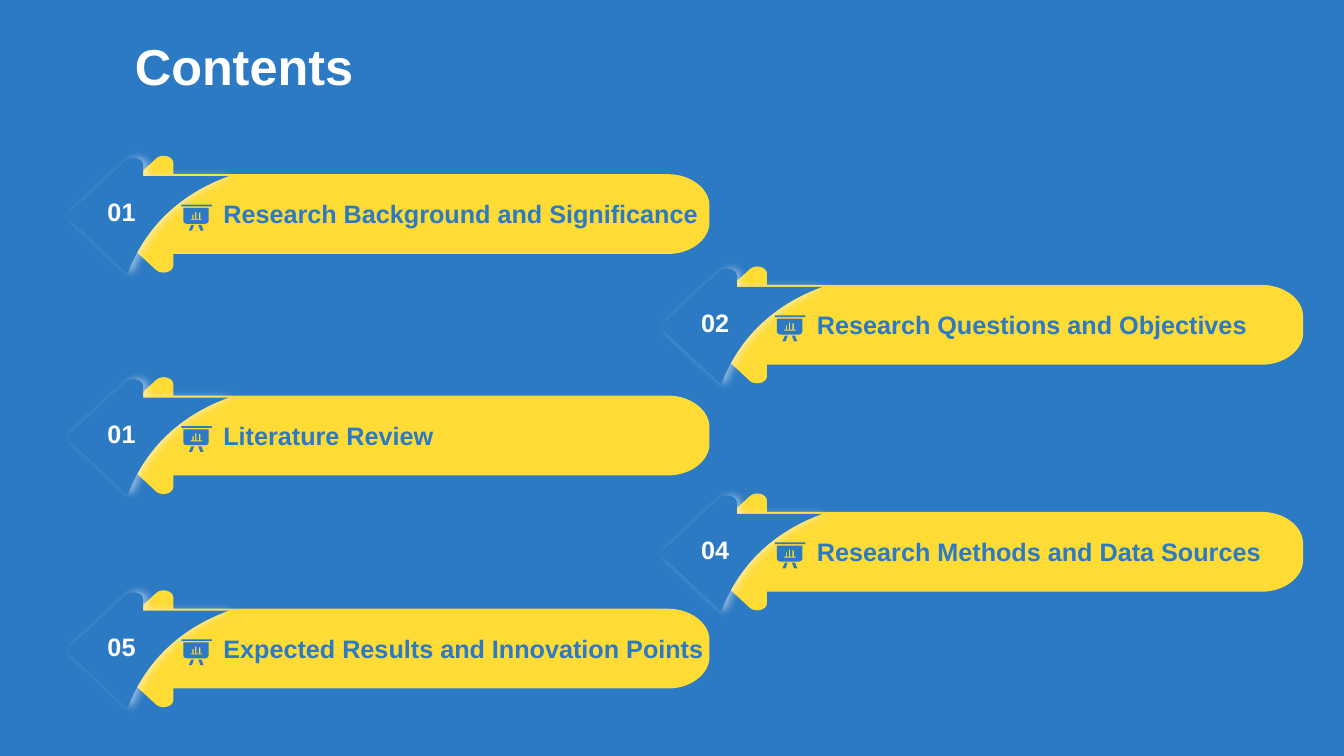
import pptx
import pptx.util
import pptx.dml.color
import pptx.enum.text
from pptx.oxml.ns import qn
from lxml import etree

Cm, Pt = pptx.util.Cm, pptx.util.Pt
RGBColor = pptx.dml.color.RGBColor
MSO_ANCHOR = pptx.enum.text.MSO_ANCHOR

# Content: number, heading, top in cm
TITLE = "Contents"
ITEMS = [
    ("01", "Research Background and Significance", 3.86),
    ("02", "Research Questions and Objectives", 6.65),
    ("01", "Literature Review", 9.44),
    ("04", "Research Methods and Data Sources", 12.37),
    ("05", "Expected Results and Innovation Points", 14.81),
]
COLUMNS = (1.7, 16.66)

# Colours
BLUE = RGBColor(0x2C, 0x7A, 0xC4)
YELLOW = RGBColor(0xFE, 0xDB, 0x35)
WHITE = RGBColor(0xFF, 0xFF, 0xFF)

# Outlines in cm: two numbers are a straight step, six a Bezier curve
RIBBON = [[
    (15.14, 0.53), (2.67, 0.53), (2.67, 0.25),
    (2.67, 0.08, 2.39, 0, 2.24, 0.13), (0.84, 1.42),
    (0.76, 1.5, 0.76, 1.6, 0.84, 1.65), (2.24, 2.95),
    (2.39, 3.07, 2.67, 3, 2.67, 2.82), (2.67, 2.54), (15.14, 2.54),
    (15.7, 2.54, 16.18, 2.18, 16.18, 1.75), (16.18, 1.32),
    (16.18, 0.89, 15.7, 0.53, 15.14, 0.53),
]]
TAB = [[
    (4.06, 0.58), (1.91, 0.58), (1.91, 0.3),
    (1.91, 0.13, 1.63, 0.05, 1.47, 0.18), (0.08, 1.47),
    (0, 1.55, 0, 1.65, 0.08, 1.7), (1.47, 3), (1.52, 3.02),
    (1.85, 2.16, 2.54, 1.14, 4.06, 0.58),
]]
BOARD_ICON = [
    # Legs
    [(0.43, 0.51), (0.51, 0.51), (0.56, 0.65), (0.48, 0.65)],
    [(0.25, 0.51), (0.32, 0.51), (0.27, 0.65), (0.19, 0.65)],
    # Bar chart cut out of the board
    [(0.38, 0.18), (0.35, 0.18), (0.35, 0.36), (0.31, 0.36), (0.31, 0.25),
     (0.28, 0.25), (0.28, 0.36), (0.23, 0.36), (0.23, 0.38), (0.53, 0.38),
     (0.53, 0.36), (0.48, 0.36), (0.48, 0.2), (0.44, 0.2), (0.44, 0.36),
     (0.38, 0.36)],
    # Board and top rail
    [(0.05, 0.08), (0.69, 0.08), (0.69, 0.41),
     (0.69, 0.44, 0.66, 0.48, 0.61, 0.48), (0.13, 0.48),
     (0.08, 0.48, 0.05, 0.44, 0.05, 0.41)],
    [(0, 0), (0.77, 0), (0.77, 0.04), (0, 0.04)],
]


def end_point(step):
    return Cm(step[-2]), Cm(step[-1])


def bend_curves(sp, outlines):
    """Turn the straight segment of each six-number step into a curve."""
    ends = [end_point(step) for outline in outlines for step in outline]
    left, top = min(x for x, y in ends), min(y for x, y in ends)
    steps = [step for outline in outlines for step in outline[1:]]
    segments = list(sp.element.iter(qn("a:lnTo")))
    for segment, step in zip(segments, steps):
        if len(step) == 6:
            curve = etree.Element(qn("a:cubicBezTo"))
            for x, y in zip(step[::2], step[1::2]):
                etree.SubElement(curve, qn("a:pt"), x=str(Cm(x) - left), y=str(Cm(y) - top))
            segment.getparent().replace(segment, curve)


def add_outline(shapes, outlines, left, top, color):
    builder = shapes.build_freeform(*end_point(outlines[0][0]))
    for i, outline in enumerate(outlines):
        if i:
            builder.move_to(*end_point(outline[0]))
        builder.add_line_segments([end_point(step) for step in outline[1:]], close=True)
    sp = builder.convert_to_shape(Cm(left), Cm(top))
    bend_curves(sp, outlines)
    sp.shadow.inherit = False
    sp.fill.solid()
    sp.fill.fore_color.rgb = color
    sp.line.fill.background()
    return sp


def add_glow_shadow(sp):
    effects = sp.element.spPr.find(qn("a:effectLst"))
    shadow = etree.SubElement(effects, qn("a:outerShdw"), blurRad=str(Pt(6)),
                              dist=str(Pt(3)), dir="0", algn="ctr", rotWithShape="0")
    color = etree.SubElement(shadow, qn("a:srgbClr"), val=str(WHITE))
    etree.SubElement(color, qn("a:alpha"), val="50000")


def add_text(shapes, text, left, top, width, height, size, color, inset=0.25,
             anchor=MSO_ANCHOR.TOP):
    tf = shapes.add_textbox(Cm(left), Cm(top), Cm(width), Cm(height)).text_frame
    tf.word_wrap = True
    tf.vertical_anchor = anchor
    tf.margin_left = tf.margin_right = Cm(0.25)
    tf.margin_top = tf.margin_bottom = Cm(inset)
    r = tf.paragraphs[0].add_run()
    r.text = text
    r.font.name = "Arial"
    r.font.size = Pt(size)
    r.font.bold = True
    r.font.color.rgb = color


def add_item(s, number, heading, left, top):
    shapes = s.shapes.add_group_shape().shapes
    add_outline(shapes, RIBBON, left, top, YELLOW)
    add_glow_shadow(add_outline(shapes, TAB, left, top, BLUE))
    add_text(shapes, heading, left + 3.68, top + 0.89, 12.85, 1.19, 18, BLUE)
    add_outline(shapes, BOARD_ICON, left + 2.87, top + 1.3, BLUE)
    add_text(shapes, number, left + 0.76, top + 0.84, 2.18, 0.66, 18, WHITE)


def main():
    prs = pptx.Presentation()
    prs.slide_width, prs.slide_height = Cm(33.87), Cm(19.05)
    s = prs.slides.add_slide(prs.slide_layouts[6])
    s.background.fill.solid()
    s.background.fill.fore_color.rgb = BLUE

    # Title
    add_text(s.shapes, TITLE, 3.15, 0.71, 10.95, 1.88, 36, WHITE,
             inset=0.13, anchor=MSO_ANCHOR.MIDDLE)

    # Items alternate between the two columns
    for i, (number, heading, top) in enumerate(ITEMS):
        add_item(s, number, heading, COLUMNS[i % 2], top)

    prs.save("out.pptx")


if __name__ == "__main__":
    main()
